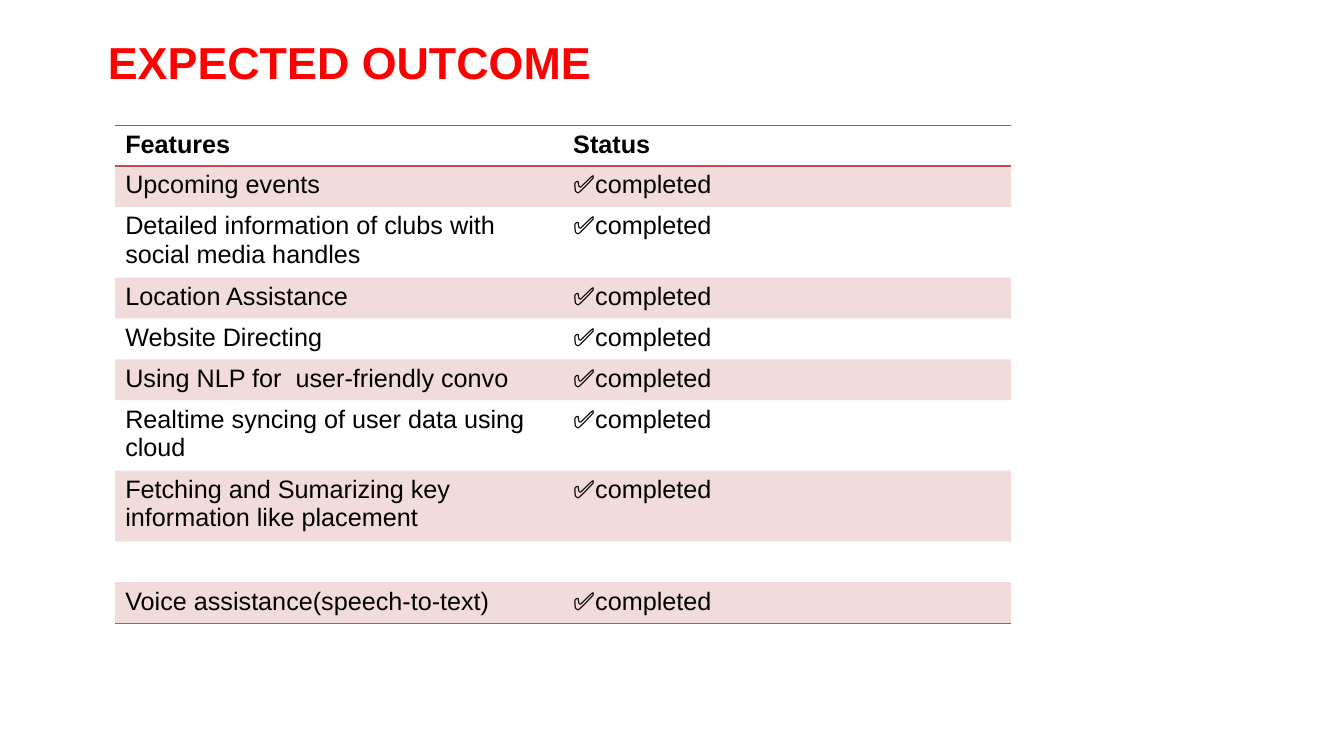
import pptx
import pptx.util
import pptx.dml.color
import pptx.enum.text
from lxml import etree
from pptx.oxml.ns import qn

Pt = pptx.util.Pt

TITLE = "EXPECTED OUTCOME"
DONE = "✅completed"
HEADINGS = ("Features", "Status")
FEATURES = [
    "Upcoming events",
    "Detailed information of clubs with social media handles",
    "Location Assistance",
    "Website Directing",
    "Using NLP for  user-friendly convo",
    "Realtime syncing of user data using cloud",
    "Fetching and Sumarizing key information like placement",
    "",
    "Voice assistance(speech-to-text)",
]
ACCENT = "C0504D"
BAND_ALPHA = "20000"
NO_STYLE = "{2D5ABB26-0587-4C30-8999-92F81FD0307C}"
COLUMN_WIDTH, ROW_HEIGHT = 320, 29.2


def color(hex_code):
    return pptx.dml.color.RGBColor.from_string(hex_code)


def write(frame, text, size=18, hex_code="000000", bold=False):
    paragraph = frame.paragraphs[0]
    paragraph.font.size = Pt(size)
    if text:
        run = paragraph.add_run()
        run.text = text
        run.font.name = "Arial"
        run.font.size = Pt(size)
        run.font.bold = bold
        run.font.color.rgb = color(hex_code)


def add_rule(cell, side):
    """Draw a 1 pt accent border on the top ("lnT") or bottom ("lnB") of a cell."""
    line = etree.SubElement(cell._tc.get_or_add_tcPr(), qn(f"a:{side}"), w=str(Pt(1)))
    fill = etree.SubElement(line, qn("a:solidFill"))
    etree.SubElement(fill, qn("a:srgbClr"), val=ACCENT)


def fill_band(cell):
    cell.fill.solid()
    cell.fill.fore_color.rgb = color(ACCENT)
    tint = cell._tc.tcPr.find(qn("a:solidFill")).find(qn("a:srgbClr"))
    etree.SubElement(tint, qn("a:alpha"), val=BAND_ALPHA)


def main():
    deck = pptx.Presentation()
    deck.slide_width, deck.slide_height = Pt(960), Pt(540)
    slide = deck.slides.add_slide(deck.slide_layouts[6])

    title = slide.shapes.add_textbox(Pt(70), Pt(21), Pt(821), Pt(46)).text_frame
    title.word_wrap = True
    title.vertical_anchor = pptx.enum.text.MSO_ANCHOR.MIDDLE
    write(title, TITLE, size=32, hex_code="FF0000", bold=True)

    rows = [HEADINGS] + [(feature, DONE if feature else "") for feature in FEATURES]
    last = len(rows) - 1
    outcomes = slide.shapes.add_table(
        len(rows), len(HEADINGS), Pt(82.3), Pt(89.4),
        Pt(COLUMN_WIDTH * len(HEADINGS)), Pt(ROW_HEIGHT * len(rows))).table
    outcomes.first_row = outcomes.horz_banding = False
    outcomes._tbl.tblPr.find(qn("a:tableStyleId")).text = NO_STYLE

    for r, row in enumerate(rows):
        outcomes.rows[r].height = Pt(ROW_HEIGHT)
        for c, text in enumerate(row):
            cell = outcomes.cell(r, c)
            write(cell.text_frame, text, bold=r == 0)
            if r == 0:
                add_rule(cell, "lnT")
            if r in (0, last):
                add_rule(cell, "lnB")
            if r % 2:
                fill_band(cell)
            else:
                cell.fill.background()

    deck.save("out.pptx")


if __name__ == "__main__":
    main()
